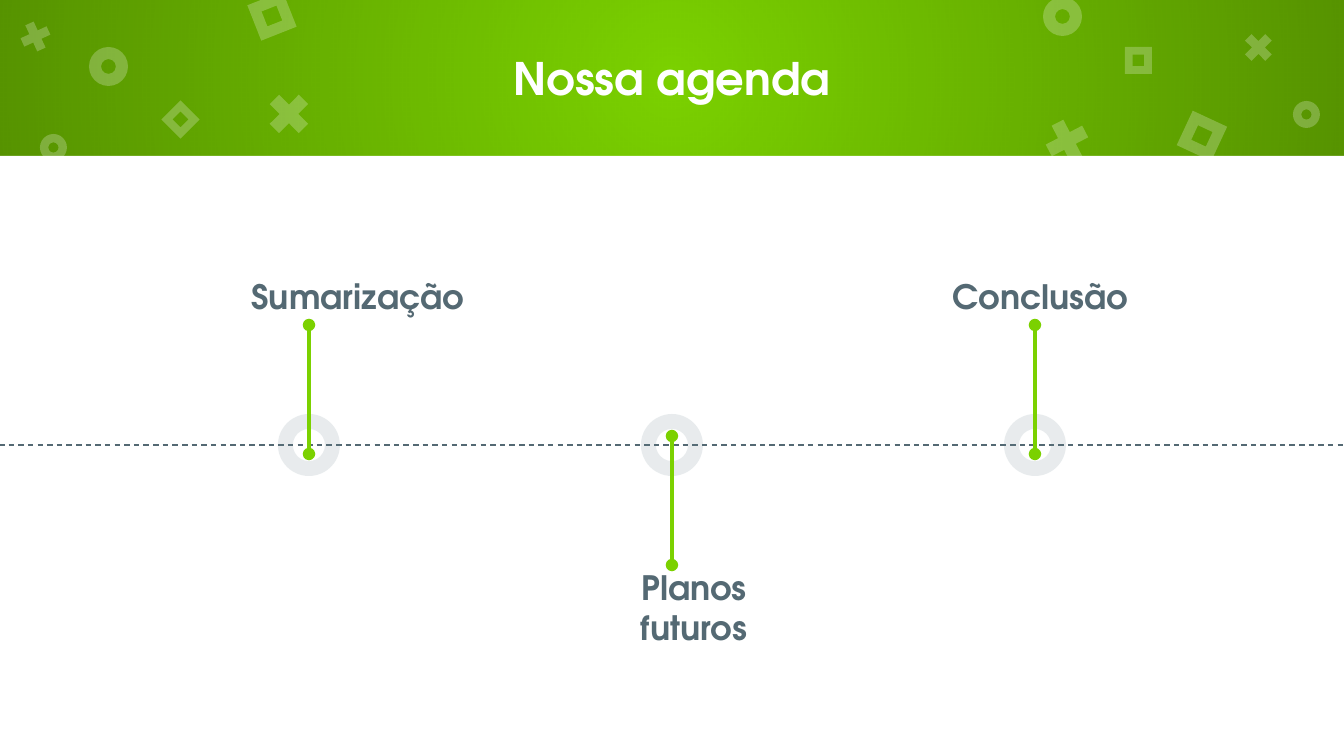
from lxml.etree import SubElement
from pptx import Presentation
from pptx.dml.color import RGBColor
from pptx.enum.dml import MSO_LINE
from pptx.enum.shapes import MSO_CONNECTOR, MSO_SHAPE
from pptx.enum.text import MSO_ANCHOR, PP_ALIGN
from pptx.oxml import parse_xml
from pptx.oxml.ns import nsdecls, qn
from pptx.util import Pt

PX = 6804  # EMU per px, at 134.4 px to the inch
SLIDE_W, SLIDE_H, HEADER_H = 1344, 756, 156
THEME = {
    "font": "TeX Gyre Adventor",
    "green": RGBColor(0x7B, 0xD1, 0x00),
    "white": RGBColor(0xFF, 0xFF, 0xFF),
    "slate": RGBColor(0x54, 0x69, 0x73),
    "ring": RGBColor(0x66, 0x7F, 0x8C),
    "title_size": 24,
    "label_size": 18,
}

prs = Presentation()
prs.slide_width, prs.slide_height = SLIDE_W * PX, SLIDE_H * PX
slide = prs.slides.add_slide(prs.slide_layouts[6])
slide.background.fill.solid()
slide.background.fill.fore_color.rgb = THEME["green"]


def add_figure(kind, x, y, w, h, color, alpha=100, adj=None, rotation=0):
    """Add a filled preset shape without outline; alpha is a percentage."""
    figure = slide.shapes.add_shape(kind, x * PX, y * PX, w * PX, h * PX)
    figure.shadow.inherit = False
    figure.line.fill.background()
    figure.fill.solid()
    figure.fill.fore_color.rgb = color
    figure.rotation = rotation
    if adj is not None:
        figure.adjustments[0] = adj
    if alpha < 100:
        solid = figure._element.spPr.find(qn("a:solidFill"))
        SubElement(solid[0], qn("a:alpha"), val=str(alpha * 1000))
    return figure


def add_text(text, x, y, w, h, *, size, color, anchor=MSO_ANCHOR.TOP):
    box = slide.shapes.add_textbox(x * PX, y * PX, w * PX, h * PX)
    frame = box.text_frame
    frame.word_wrap = True
    frame.vertical_anchor = anchor
    frame.margin_left = frame.margin_right = 13 * PX
    frame.margin_top = frame.margin_bottom = 13 * PX
    paragraph = frame.paragraphs[0]
    paragraph.alignment = PP_ALIGN.CENTER
    run = paragraph.add_run()
    run.text = text
    run.font.name = THEME["font"]
    run.font.size = Pt(size)
    run.font.bold = True
    run.font.color.rgb = color


# Header: green background darkened towards the edges, above a white body
vignette = add_figure(MSO_SHAPE.RECTANGLE, 0, 0, SLIDE_W, HEADER_H, THEME["green"])
vignette_props = vignette._element.spPr
vignette_props.replace(vignette_props.find(qn("a:solidFill")), parse_xml(
    f'<a:gradFill {nsdecls("a")} rotWithShape="1"><a:gsLst>'
    '<a:gs pos="0"><a:srgbClr val="000000"><a:alpha val="0"/></a:srgbClr></a:gs>'
    '<a:gs pos="100000"><a:srgbClr val="000000"><a:alpha val="30000"/></a:srgbClr></a:gs>'
    '</a:gsLst><a:path path="circle">'
    '<a:fillToRect l="50000" t="50000" r="50000" b="50000"/></a:path></a:gradFill>'))
add_figure(MSO_SHAPE.RECTANGLE, 0, HEADER_H, SLIDE_W, SLIDE_H - HEADER_H, THEME["white"])

# Confetti: (x, y, size, rotation) for each kind of figure
confetti = [
    (MSO_SHAPE.DONUT, 0.31,
     [(89, 47, 39, 0), (1043, -3, 39, 0), (40, 134, 27, 0), (1293, 101, 27, 0)]),
    (MSO_SHAPE.MATH_MULTIPLY, 0.235,
     [(261, 86, 56, 0), (1039, 113, 56, 17.5), (16, 17, 39, 20.4), (1239, 28, 39, 0)]),
    (MSO_SHAPE.FRAME, 0.289,
     [(253, -3, 38, 338.4), (1183, 117, 38, 25), (167, 106, 27, 45), (1125, 47, 27, 0)]),
]
for kind, adj, places in confetti:
    for x, y, size, rotation in places:
        add_figure(kind, x, y, size, size, THEME["white"], 24, adj, rotation)

add_text("Nossa agenda", 67, 0, 1210, HEADER_H, size=THEME["title_size"],
         color=THEME["white"], anchor=MSO_ANCHOR.MIDDLE)

# Timeline
AXIS_Y, RING = 445, 62
FIRST_X, STEP_X = 309, 363
axis = slide.shapes.add_connector(
    MSO_CONNECTOR.STRAIGHT, -PX, AXIS_Y * PX, (SLIDE_W + 1) * PX, AXIS_Y * PX)
axis.line.color.rgb = THEME["slate"]
axis.line.width = Pt(0.75)
axis.line.dash_style = MSO_LINE.DASH
connectors = [axis]

# Milestones: text, label box, direction of the stem (-1 up, 1 down)
milestones = [
    ("Sumarização", (218, 263, 280, 60), -1),
    ("Planos futuros", (581, 554, 226, 60), 1),
    ("Conclusão", (874, 263, 333, 60), -1),
]
for index, (label, label_box, direction) in enumerate(milestones):
    x = FIRST_X + index * STEP_X
    add_figure(MSO_SHAPE.DONUT, x - RING // 2, AXIS_Y - RING // 2, RING, RING,
               THEME["ring"], 15, 0.241)
    stem = slide.shapes.add_connector(
        MSO_CONNECTOR.STRAIGHT, x * PX, (AXIS_Y - 9 * direction) * PX,
        x * PX, (AXIS_Y + 120 * direction) * PX)
    stem.line.color.rgb = THEME["green"]
    stem.line.width = Pt(2.25)
    for end in ("a:headEnd", "a:tailEnd"):
        SubElement(stem._element.spPr.find(qn("a:ln")), qn(end), type="oval")
    connectors.append(stem)
    add_text(label, *label_box, size=THEME["label_size"], color=THEME["slate"])

for connector in connectors:
    SubElement(connector._element.spPr, qn("a:effectLst"))

prs.save("out.pptx")
